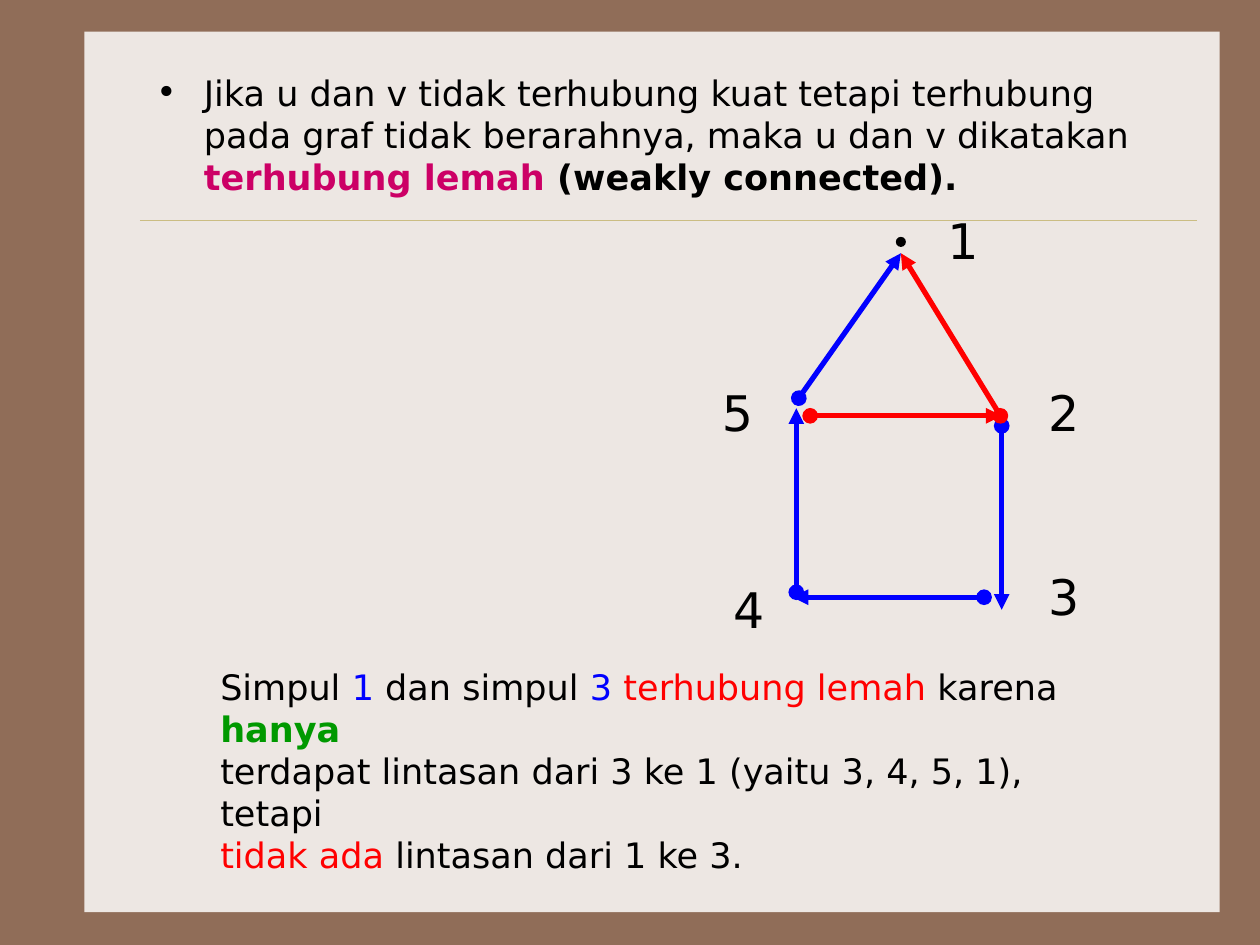
from typing import NamedTuple

from lxml.etree import SubElement
from pptx import Presentation
from pptx.dml.color import RGBColor
from pptx.enum.shapes import MSO_CONNECTOR, MSO_SHAPE
from pptx.oxml.ns import qn
from pptx.util import Inches, Pt

FONT = "DejaVu Sans"
BLACK, RED, BLUE = "000000", "FF0000", "0000FF"
GREEN, MAGENTA = "009900", "CC0066"


class Span(NamedTuple):
    text: str
    color: str = BLACK
    bold: bool = False


class Edge(NamedTuple):
    start: tuple[float, float]
    end: tuple[float, float]
    color: str


class Label(NamedTuple):
    text: str
    left: float
    top: float
    width: float = 0.45


def rgb(value: str) -> RGBColor:
    return RGBColor.from_string(value)


def add_block(page, shape_type, left, top, width, height, color: str):
    block = page.shapes.add_shape(
        shape_type, Inches(left), Inches(top), Inches(width), Inches(height))
    block.shadow.inherit = False
    block.fill.solid()
    block.fill.fore_color.rgb = rgb(color)
    block.line.fill.background()
    return block


def add_line(page, start, end, color: str, width: float):
    line = page.shapes.add_connector(
        MSO_CONNECTOR.STRAIGHT, *(Inches(value) for value in (*start, *end)))
    line.line.color.rgb = rgb(color)
    line.line.width = Pt(width)
    SubElement(line._element.spPr, qn("a:effectLst"))
    return line


def add_edge(page, edge: Edge) -> None:
    """Draw a directed edge with a dot at its start and an arrow at its end."""
    line = add_line(page, edge.start, edge.end, edge.color, 3)
    outline = line.line._get_or_add_ln()
    for tag, kind in (("a:headEnd", "oval"), ("a:tailEnd", "triangle")):
        SubElement(outline, qn(tag), type=kind)


def add_text(page, left, top, width, height, lines: list[list[Span]], size: float):
    box = page.shapes.add_textbox(
        Inches(left), Inches(top), Inches(width), Inches(height))
    frame = box.text_frame
    frame.word_wrap = True
    for index, spans in enumerate(lines):
        para = frame.paragraphs[0] if index == 0 else frame.add_paragraph()
        for span in spans:
            run = para.add_run()
            run.text = span.text
            formats = {"name": FONT, "size": Pt(size), "bold": span.bold}
            for name, value in formats.items():
                setattr(run.font, name, value)
            run.font.color.rgb = rgb(span.color)
    return box


def add_bullet(para, indent: float) -> None:
    properties = para._p.get_or_add_pPr()
    properties.set("marL", str(Inches(indent)))
    properties.set("indent", str(-Inches(indent)))
    color = SubElement(properties, qn("a:buClr"))
    SubElement(color, qn("a:srgbClr"), val=BLACK)
    SubElement(properties, qn("a:buFont"), typeface=FONT)
    SubElement(properties, qn("a:buChar"), char="•")


DEFINITION = [[
    Span("Jika u dan v tidak terhubung kuat tetapi terhubung pada graf "
         "tidak berarahnya, maka u dan v dikatakan "),
    Span("terhubung lemah", MAGENTA, True),
    Span(" (weakly connected).", BLACK, True),
]]

EXPLANATION = [
    [Span("Simpul "), Span("1", BLUE), Span(" dan simpul "), Span("3 ", BLUE),
     Span("terhubung lemah", RED), Span(" karena "), Span("hanya", GREEN, True)],
    [Span("terdapat lintasan dari 3 ke 1 (yaitu 3, 4, 5, 1), tetapi")],
    [Span("tidak ada", RED), Span(" lintasan dari 1 ke 3.")],
]

EDGES = [
    Edge((6.43, 3.3), (7.95, 3.3), RED),
    Edge((7.95, 3.38), (7.95, 4.84), BLUE),
    Edge((7.81, 4.74), (6.29, 4.74), BLUE),
    Edge((6.32, 4.7), (6.32, 3.24), BLUE),
    Edge((7.94, 3.3), (7.15, 2.01), RED),
    Edge((6.34, 3.16), (7.15, 2.01), BLUE),
]

LABELS = [
    Label("1", 7.42, 1.62, 0.62),
    Label("2", 8.22, 2.99),
    Label("3", 8.22, 4.45),
    Label("4", 5.72, 4.55),
    Label("5", 5.63, 2.99),
]


def main() -> None:
    deck = Presentation()
    deck.slide_width, deck.slide_height = Inches(10), Inches(7.5)
    page = deck.slides.add_slide(deck.slide_layouts[6])

    # Background, panel and divider
    page.background.fill.solid()
    page.background.fill.fore_color.rgb = rgb("906D58")
    add_block(page, MSO_SHAPE.RECTANGLE, 0.67, 0.25, 9.01, 6.99, "EDE7E3")
    add_line(page, (1.11, 1.75), (9.5, 1.75), "CBBD83", 0.25)

    # Definition
    definition = add_text(page, 1.14, 0.52, 8.32, 1.2, DEFINITION, 20)
    add_bullet(definition.text_frame.paragraphs[0], 0.38)

    # Directed graph
    for edge in EDGES:
        add_edge(page, edge)
    for label in LABELS:
        add_text(page, label.left, label.top, label.width, 0.57,
                 [[Span(label.text)]], 28)
    dot = 0.08
    add_block(page, MSO_SHAPE.OVAL, 7.15 - dot / 2, 1.92 - dot / 2, dot, dot, BLACK)

    # Explanation
    add_text(page, 1.65, 5.23, 7.43, 1.1, EXPLANATION, 20)

    deck.save("out.pptx")


if __name__ == "__main__":
    main()
